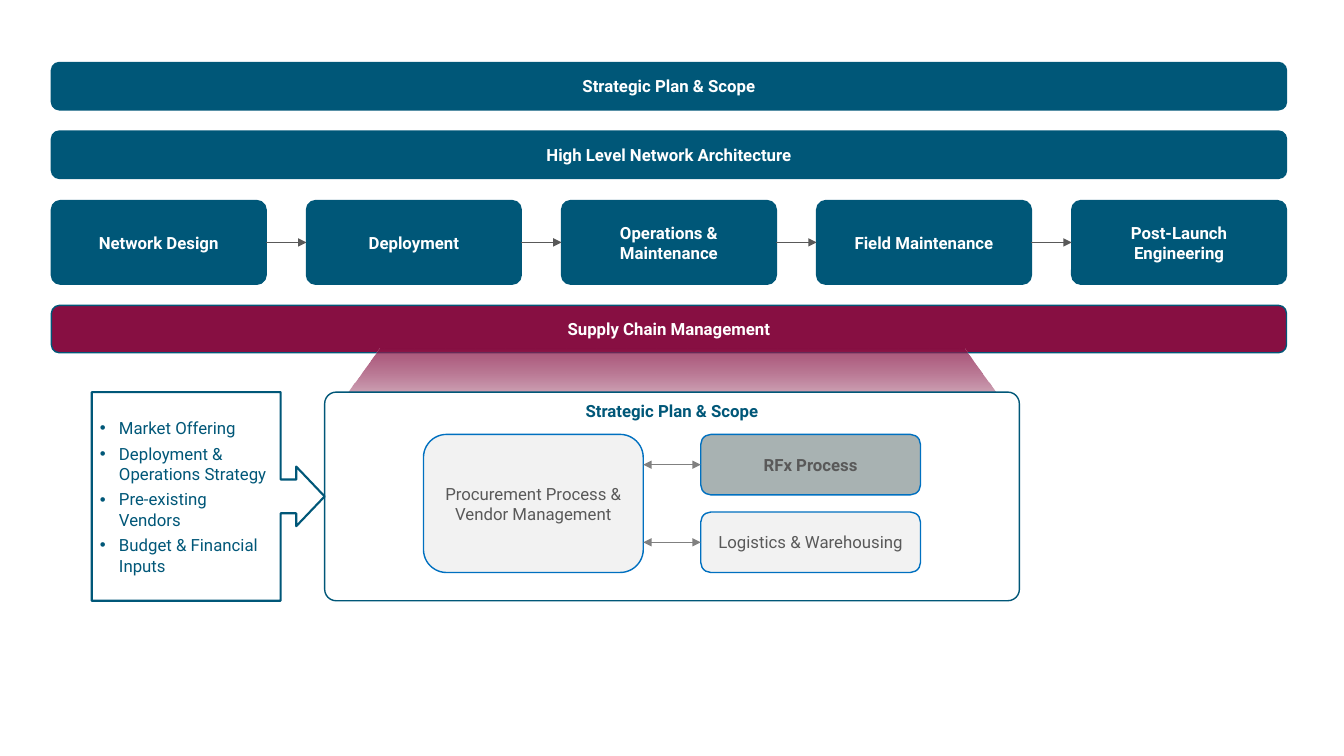
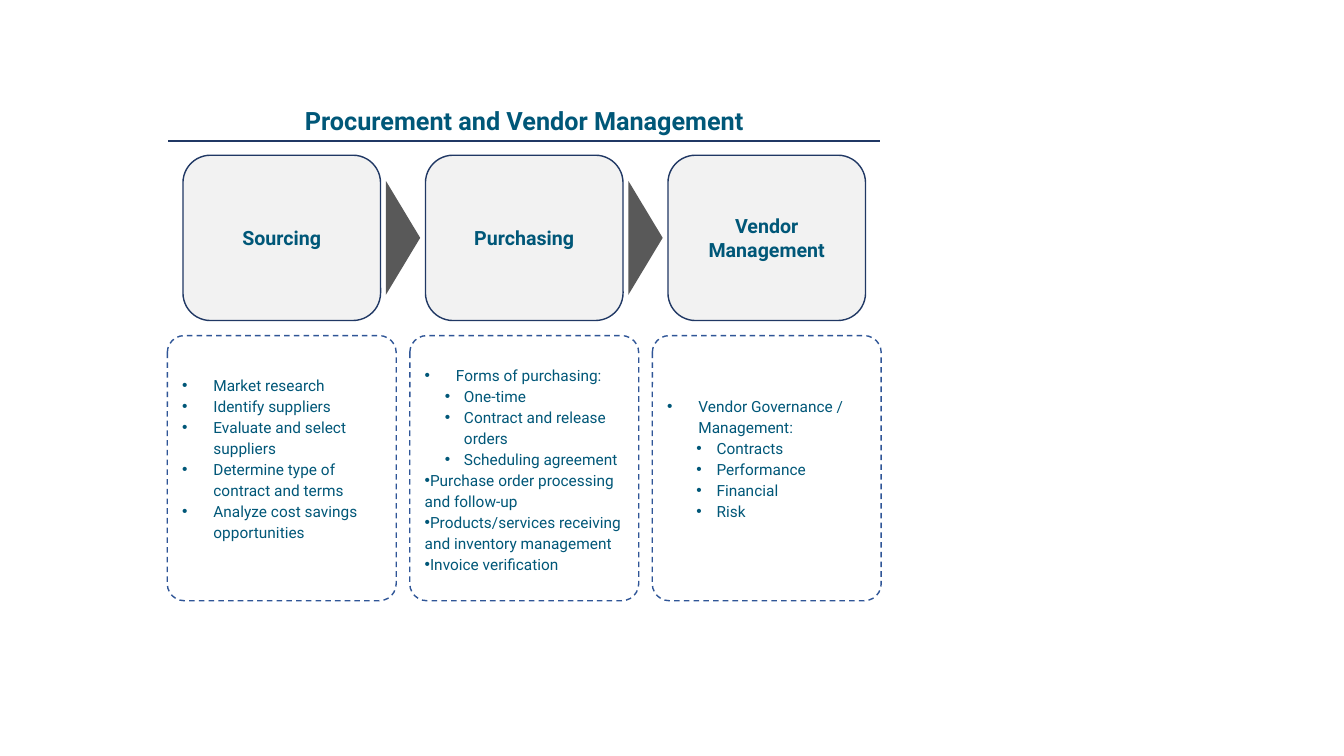
from dataclasses import dataclass

from lxml import etree
from pptx import Presentation
from pptx import util as u
from pptx.dml import color
from pptx.enum import dml, shapes, text
from pptx.oxml import ns

SCALE = 9144


@dataclass(frozen=True)
class Theme:
    font: str = "Roboto"
    teal: str = "005778"
    plum: str = "870F42"
    white: str = "FFFFFF"
    light: str = "F2F2F2"
    gray: str = "A8B2B2"
    dark: str = "595959"
    mid: str = "808080"
    blue: str = "0070C0"
    navy: str = "203864"
    dash: str = "2F5597"
    title: int = 18
    heading: int = 14
    body: int = 12
    detail: int = 11
    leading: int = 15
    hair: float = 0.5
    thin: float = 1
    thick: float = 1.5


@dataclass(frozen=True)
class Box:
    x: float
    y: float
    w: float
    h: float

    def inner(self, x, y, w, h):
        return Box(self.x + x, self.y + y, w, h)


@dataclass(frozen=True)
class Bullet:
    words: str
    margin: int = 31
    indent: int = -31
    level: int = 0


THEME = Theme()
KIND = shapes.MSO_SHAPE
ALIGN = text.PP_ALIGN
ANCHOR = text.MSO_ANCHOR


def px(value):
    return u.Emu(round(value * SCALE))


def rgb(value):
    return color.RGBColor.from_string(value)


def add_node(parent, tag, **attributes):
    return etree.SubElement(parent, ns.qn(tag), attributes)


def add_span(para, words, size, ink, bold=False):
    span = para.add_run()
    span.text = words
    span.font.name = THEME.font
    span.font.size = u.Pt(size)
    span.font.bold = bold
    span.font.color.rgb = rgb(ink)


def add_label(shape, words, size, ink, bold=True, anchor=ANCHOR.MIDDLE):
    frame = shape.text_frame
    frame.word_wrap = True
    frame.vertical_anchor = anchor
    para = frame.paragraphs[0]
    para.alignment = ALIGN.CENTER
    add_span(para, words, size, ink, bold)


def add_bullets(shape, bullets, size, before=0, leading=None):
    frame = shape.text_frame
    frame.word_wrap = True
    frame.vertical_anchor = ANCHOR.MIDDLE
    for index, bullet in enumerate(bullets):
        para = frame.add_paragraph() if index else frame.paragraphs[0]
        para.alignment = ALIGN.LEFT
        para.level = bullet.level
        para.space_before = u.Pt(before)
        if leading:
            para.line_spacing = u.Pt(leading)
        props = para._p.get_or_add_pPr()
        props.set("marL", str(px(bullet.margin)))
        props.set("indent", str(px(bullet.indent)))
        add_node(props, "a:buFont", typeface="Arial")
        add_node(props, "a:buChar", char="•")
        add_span(para, bullet.words, size, THEME.teal)


def add_block(page, kind, box, fill=None, line=None, width=THEME.thin, adjust=()):
    shape = page.shapes.add_shape(kind, px(box.x), px(box.y), px(box.w), px(box.h))
    shape.shadow.inherit = False
    for index, value in enumerate(adjust):
        shape.adjustments[index] = value
    if fill:
        shape.fill.solid()
        shape.fill.fore_color.rgb = rgb(fill)
    else:
        shape.fill.background()
    if line:
        shape.line.color.rgb = rgb(line)
        shape.line.width = u.Pt(width)
    else:
        shape.line.fill.background()
    return shape


def add_line(page, start, end, ink, width, ends=()):
    line = page.shapes.add_connector(
        shapes.MSO_CONNECTOR.STRAIGHT, *(px(value) for value in (*start, *end))
    )
    line.line.color.rgb = rgb(ink)
    line.line.width = u.Pt(width)
    for tag in ends:
        add_node(line.line._get_or_add_ln(), tag, type="triangle")
    add_node(line._element.spPr, "a:effectLst")


def add_band(page, box, words, fill):
    band = add_block(page, KIND.ROUNDED_RECTANGLE, box, fill, THEME.teal)
    add_label(band, words, THEME.body, THEME.white)


def add_phases(page, box, names, width):
    step = (box.w - width) / (len(names) - 1)
    middle = box.y + box.h / 2
    for index, name in enumerate(names):
        cell = box.inner(index * step, 0, width, box.h)
        phase = add_block(
            page, KIND.ROUNDED_RECTANGLE, cell, THEME.teal, THEME.teal, adjust=[0.11]
        )
        add_label(phase, name, THEME.body, THEME.white)
        if index:
            add_line(page, (cell.x - step + width, middle), (cell.x, middle),
                     THEME.dark, THEME.hair, ["a:tailEnd"])


def add_beam(page, box):
    beam = add_block(page, KIND.TRAPEZOID, box, adjust=[0.735])
    beam.fill.gradient()
    beam.fill.gradient_angle = 270
    stops = beam.fill.gradient_stops
    for stop, ink, position in zip(stops, (THEME.plum, THEME.light), (0, 1)):
        stop.color.rgb = rgb(ink)
        stop.position = position
    first = next(beam._element.spPr.iter(ns.qn("a:srgbClr")))
    add_node(first, "a:alpha", val="71000")


def add_scope_panel(page, box):
    panel = add_block(
        page, KIND.ROUNDED_RECTANGLE, box, THEME.white, THEME.teal, adjust=[0.055]
    )
    add_label(panel, "Strategic Plan & Scope", THEME.body, THEME.teal, anchor=ANCHOR.TOP)
    top, width, height, step = 42, 218, 60, 77
    left, right = 98, 373
    tiles = [
        ("Procurement Process & Vendor Management", left, top, step + height, THEME.light, False),
        ("RFx Process", right, top, height, THEME.gray, True),
        ("Logistics & Warehousing", right, top + step, height, THEME.light, False),
    ]
    for words, x, y, tall, fill, bold in tiles:
        tile = add_block(
            page, KIND.ROUNDED_RECTANGLE, box.inner(x, y, width, tall), fill, THEME.blue
        )
        add_label(tile, words, THEME.body, THEME.dark, bold)
    for row in range(2):
        y = box.y + top + row * step + height / 2
        add_line(page, (box.x + left + width, y), (box.x + right, y),
                 THEME.mid, THEME.hair, ["a:headEnd", "a:tailEnd"])


def add_inputs(page, box, items):
    callout = add_block(
        page, KIND.RIGHT_ARROW_CALLOUT, box, line=THEME.teal, width=THEME.thick,
        adjust=[0.162, 0.143, 0.136, 0.811],
    )
    frame = callout.text_frame
    frame.margin_left = frame.margin_right = px(8)
    frame.margin_top = frame.margin_bottom = px(5)
    add_bullets(callout, [Bullet(item, 19, -19) for item in items], THEME.body, before=4)


def build_network_page(page, box):
    add_band(page, box.inner(0, 241, box.w, 47), "Supply Chain Management", THEME.plum)
    for row, words in enumerate(["Strategic Plan & Scope", "High Level Network Architecture"]):
        add_band(page, box.inner(0, row * 68, box.w, 47), words, THEME.teal)
    add_phases(page, box.inner(0, 137, box.w, 83), [
        "Network Design", "Deployment", "Operations & Maintenance",
        "Field Maintenance", "Post-Launch Engineering",
    ], 213)
    add_beam(page, box.inner(271, 284, 689, 75))
    add_scope_panel(page, box.inner(271, 327, 689, 207))
    add_inputs(page, box.inner(40, 327, 231, 207), [
        "Market Offering", "Deployment & Operations Strategy",
        "Pre-existing Vendors", "Budget & Financial Inputs",
    ])


def add_heading(page, box, words):
    heading = page.shapes.add_textbox(px(box.x), px(box.y), px(box.w), px(box.h))
    add_label(heading, words, THEME.title, THEME.teal, anchor=ANCHOR.TOP)
    y = box.y + box.h
    add_line(page, (box.x + 1, y), (box.x + box.w - 1, y), THEME.navy, THEME.thick)


def add_stage(page, box, name, bullets, bottom):
    width, height = 196, 164
    card_box = box.inner((box.w - width) / 2, 0, width, height)
    card = add_block(page, KIND.ROUNDED_RECTANGLE, card_box, THEME.light, THEME.navy)
    add_label(card, name, THEME.heading, THEME.teal)
    detail = add_block(
        page, KIND.ROUNDED_RECTANGLE, box.inner(0, 179, box.w, box.h - 179),
        line=THEME.dash, adjust=[0.074],
    )
    detail.line.dash_style = dml.MSO_LINE.DASH
    detail.text_frame.margin_bottom = px(bottom)
    add_bullets(detail, bullets, THEME.detail, leading=THEME.leading)


def add_pointer(page, x, y):
    length, depth = 113, 34
    box = Box(x - length / 2, y - depth / 2, length, depth)
    pointer = add_block(page, KIND.ISOSCELES_TRIANGLE, box, THEME.dark)
    pointer.rotation = 90


def build_procurement_page(page, box):
    sourcing = [Bullet(words) for words in (
        "Market research", "Identify suppliers", "Evaluate and select suppliers",
        "Determine type of contract and terms", "Analyze cost savings opportunities",
    )]
    purchasing = [Bullet("Forms of purchasing:")]
    purchasing += [Bullet(words, 39, -19, 1) for words in (
        "One-time", "Contract and release orders", "Scheduling agreement",
    )]
    purchasing += [Bullet(words, 0, -30) for words in (
        "Purchase order processing and follow-up",
        "Products/services receiving and inventory management",
        "Invoice verification",
    )]
    vendors = [Bullet("Vendor Governance / Management:")]
    vendors += [Bullet(words, 49, -20, 1) for words in (
        "Contracts", "Performance", "Financial", "Risk",
    )]
    stages = [
        ("Sourcing", sourcing, 26),
        ("Purchasing", purchasing, 5),
        ("Vendor Management", vendors, 26),
    ]
    width = 227
    step = (box.w - width) / (len(stages) - 1)
    for index, (name, bullets, bottom) in enumerate(stages):
        column = box.inner(index * step, 54, width, box.h - 54)
        add_stage(page, column, name, bullets, bottom)
        if index:
            add_pointer(page, column.x - (step - width) / 2, column.y + 82)
    add_heading(page, box.inner(0, 0, box.w, 40), "Procurement and Vendor Management")


def main():
    deck = Presentation()
    deck.slide_width, deck.slide_height = px(1333), px(750)
    layout = deck.slide_layouts[6]
    build_network_page(deck.slides.add_slide(layout), Box(51, 62, 1225, 534))
    build_procurement_page(deck.slides.add_slide(layout), Box(166, 100, 708, 496))
    deck.save("out.pptx")


if __name__ == "__main__":
    main()
